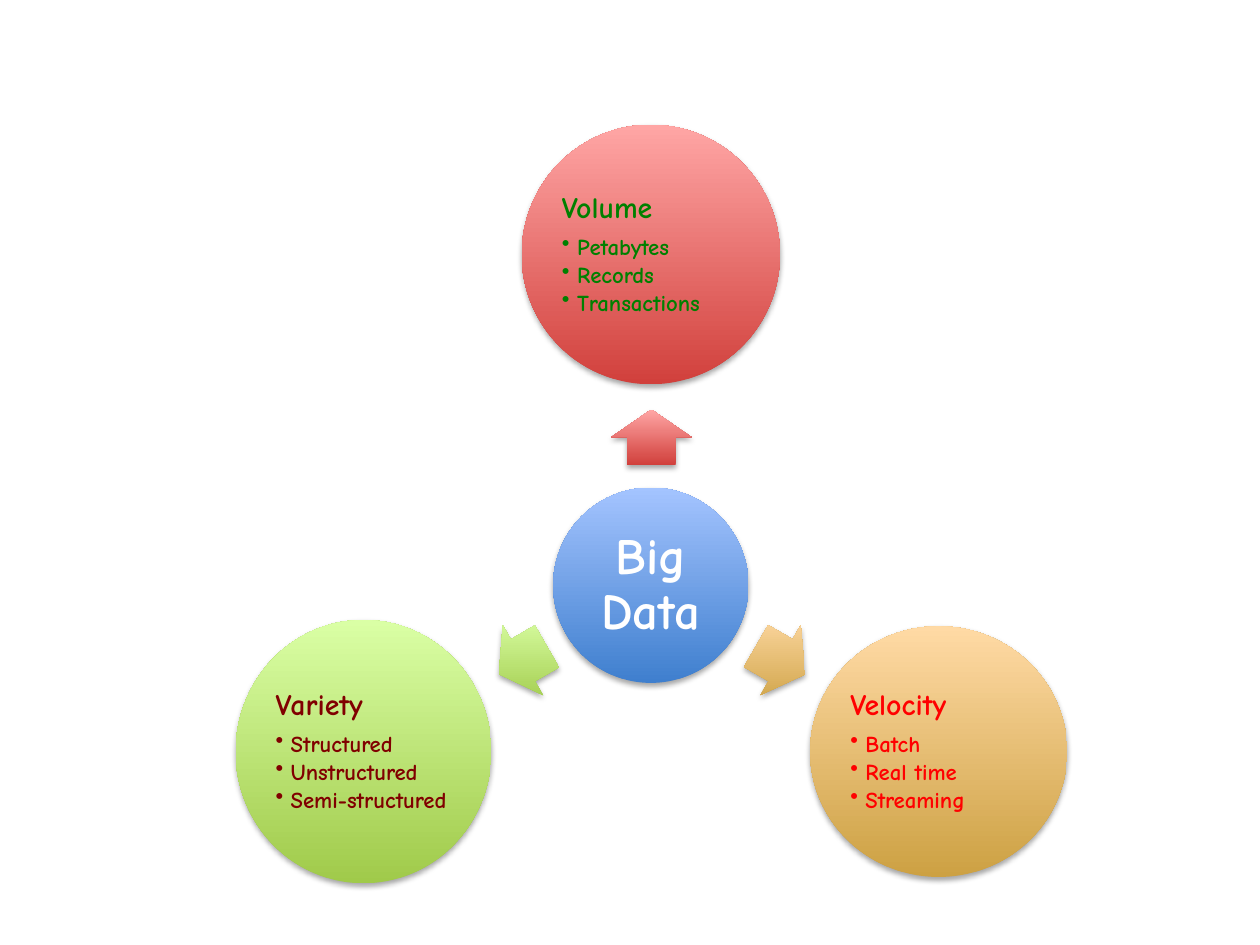
"""Build a slide with a central Big Data circle pointing to three labelled circles."""

from dataclasses import dataclass
from math import sqrt

from lxml.etree import SubElement
from pptx import Presentation
from pptx.dml.color import RGBColor
from pptx.enum.shapes import MSO_SHAPE
from pptx.enum.text import MSO_ANCHOR, PP_ALIGN
from pptx.oxml.ns import qn
from pptx.shapes.autoshape import Shape
from pptx.slide import Slide
from pptx.text.text import TextFrame
from pptx.util import Inches, Pt


@dataclass(frozen=True)
class Gradient:
    bottom: str
    top: str


@dataclass(frozen=True)
class Theme:
    font: str = "Comic Neue"
    hub_size: int = 29
    heading_size: int = 17
    bullet_size: int = 13
    hub_text: str = "FFFFFF"
    hub: Gradient = Gradient("3F7FCE", "A4C4FF")
    red: Gradient = Gradient("D1403C", "FFA6A5")
    orange: Gradient = Gradient("CDA143", "FFDAA5")
    green: Gradient = Gradient("A0CA4A", "DAFFA5")


@dataclass(frozen=True)
class Box:
    left: float
    top: float
    width: float
    height: float

    def inscribed(self) -> "Box":
        width, height = self.width / sqrt(2), self.height / sqrt(2)
        return Box(
            self.left + (self.width - width) / 2,
            self.top + (self.height - height) / 2,
            width,
            height,
        )

    def lengths(self) -> list[Inches]:
        return [Inches(value) for value in (self.left, self.top, self.width, self.height)]


@dataclass(frozen=True)
class Topic:
    heading: str
    bullets: tuple[str, ...]
    text_color: str
    gradient: Gradient
    circle: Box
    arrow: Box
    rotation: int


THEME = Theme()
HUB = Box(4.39, 3.87, 1.55, 1.55)
TOPICS = (
    Topic("Volume", ("Petabytes", "Records", "Transactions"), "008000", THEME.red,
          Box(4.14, 0.99, 2.05, 2.06), Box(4.95, 3.15, 0.44, 0.64), 270),
    Topic("Velocity", ("Batch", "Real time", "Streaming"), "FF0000", THEME.orange,
          Box(6.43, 4.97, 2.04, 1.99), Box(5.97, 4.92, 0.45, 0.64), 30),
    Topic("Variety", ("Structured", "Unstructured", "Semi-structured"), "800000", THEME.green,
          Box(1.87, 4.92, 2.03, 2.09), Box(3.93, 4.92, 0.44, 0.64), 150),
)


def add_shadow(shape: Shape) -> None:
    shape.shadow.inherit = False
    effects = shape._element.spPr.find(qn("a:effectLst"))
    shadow = SubElement(
        effects, qn("a:outerShdw"), blurRad=str(Pt(3.1)), dist=str(Pt(1.8)),
        dir="5400000", rotWithShape="0",
    )
    color = SubElement(shadow, qn("a:srgbClr"), val="000000")
    SubElement(color, qn("a:alpha"), val="35000")


def add_gradient_shape(
    slide: Slide, kind: MSO_SHAPE, box: Box, gradient: Gradient, rotation: int = 0
) -> Shape:
    shape = slide.shapes.add_shape(kind, *box.lengths())
    shape.rotation = rotation
    shape.fill.gradient()
    shape.fill.gradient_angle = 90
    for stop, color in zip(shape.fill.gradient_stops, (gradient.bottom, gradient.top)):
        stop.color.rgb = RGBColor.from_string(color)
    shape._element.spPr.find(qn("a:gradFill")).set("rotWithShape", "0")
    shape.line.fill.background()
    add_shadow(shape)
    return shape


def add_text_frame(slide: Slide, circle: Box, inset: float) -> TextFrame:
    frame = slide.shapes.add_textbox(*circle.inscribed().lengths()).text_frame
    frame.word_wrap = True
    frame.vertical_anchor = MSO_ANCHOR.MIDDLE
    frame.margin_left = frame.margin_right = Inches(inset)
    frame.margin_top = frame.margin_bottom = Inches(inset)
    return frame


def write_paragraph(
    frame: TextFrame,
    text: str,
    *,
    size: int,
    color: str,
    align: PP_ALIGN = PP_ALIGN.LEFT,
    spacing: float = 0.35,
    bullet: bool = False,
) -> None:
    first = frame.paragraphs[0]
    paragraph = frame.add_paragraph() if first.runs else first
    paragraph.alignment = align
    paragraph.line_spacing = 0.9
    paragraph.space_after = Pt(size * spacing)
    if bullet:
        paragraph.level = 1
        properties = paragraph._p.get_or_add_pPr()
        properties.set("marL", str(Inches(0.12)))
        properties.set("indent", str(Inches(-0.12)))
        SubElement(properties, qn("a:buChar"), char="•")
    run = paragraph.add_run()
    run.text = text
    run.font.name = THEME.font
    run.font.size = Pt(size)
    run.font.bold = True
    run.font.color.rgb = RGBColor.from_string(color)


def add_hub(slide: Slide) -> None:
    add_gradient_shape(slide, MSO_SHAPE.OVAL, HUB, THEME.hub)
    frame = add_text_frame(slide, HUB, 0.04)
    write_paragraph(frame, "Big Data", size=THEME.hub_size, color=THEME.hub_text,
                    align=PP_ALIGN.CENTER)


def add_topic(slide: Slide, topic: Topic) -> None:
    arrow = add_gradient_shape(
        slide, MSO_SHAPE.RIGHT_ARROW, topic.arrow, topic.gradient, topic.rotation
    )
    arrow.adjustments[0] = 0.6
    arrow.adjustments[1] = 0.5
    add_gradient_shape(slide, MSO_SHAPE.OVAL, topic.circle, topic.gradient)
    frame = add_text_frame(slide, topic.circle, 0.02)
    write_paragraph(frame, topic.heading, size=THEME.heading_size, color=topic.text_color)
    for bullet in topic.bullets:
        write_paragraph(frame, bullet, size=THEME.bullet_size, color=topic.text_color,
                        spacing=0.15, bullet=True)


def main() -> None:
    presentation = Presentation()
    presentation.slide_width = Inches(10)
    presentation.slide_height = Inches(7.5)
    slide = presentation.slides.add_slide(presentation.slide_layouts[6])
    add_hub(slide)
    for topic in TOPICS:
        add_topic(slide, topic)
    presentation.save("out.pptx")


if __name__ == "__main__":
    main()
